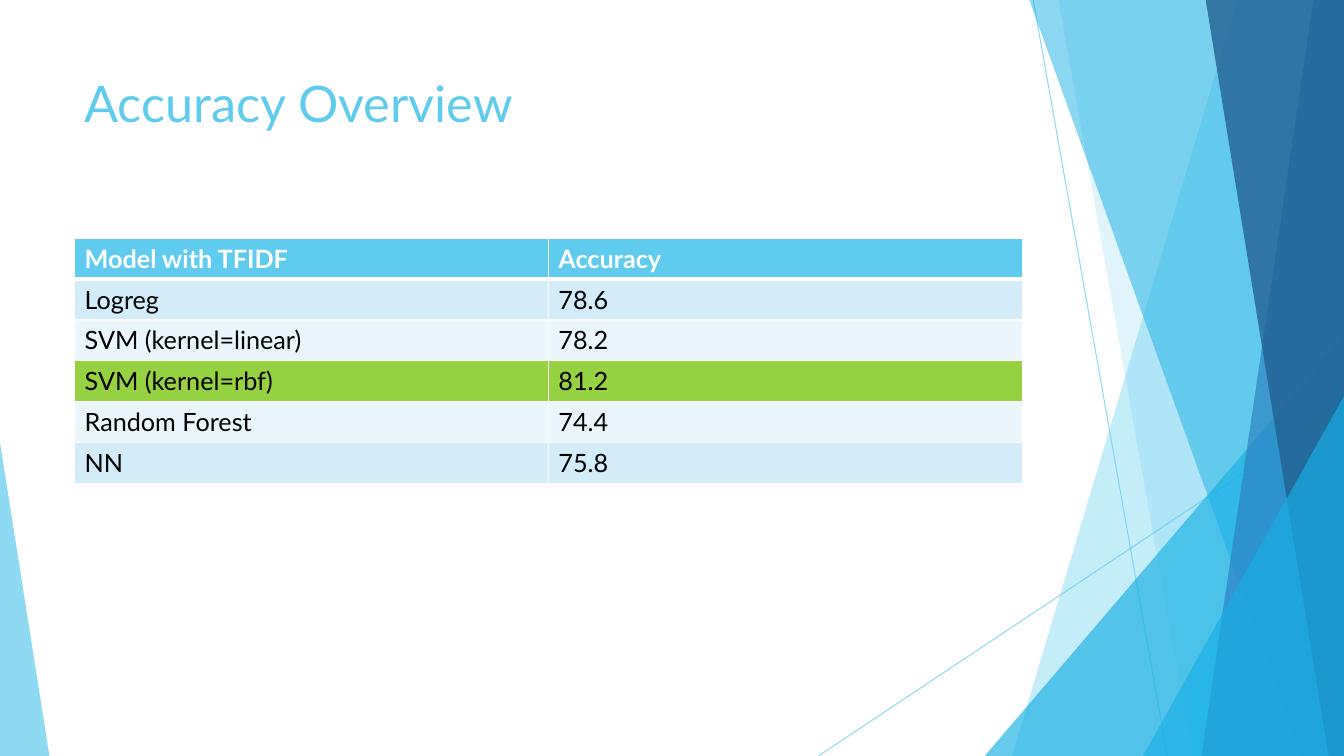
from lxml import etree
from pptx import Presentation
from pptx.dml.color import RGBColor
from pptx.enum import shapes, text
from pptx.oxml.ns import qn
from pptx.util import Pt


def paint(fill, color, host=None, alpha=100):
    fill.solid()
    fill.fore_color.rgb = RGBColor.from_string(color)
    if host is not None:
        tint = host.element.spPr.find(".//" + qn("a:srgbClr"))
        etree.SubElement(tint, qn("a:alpha"), val=str(alpha * 1000))


def write(frame, words, size=18, color="000000", bold=False):
    frame.word_wrap = True
    run = frame.paragraphs[0].add_run()
    run.text = words
    run.font.name = "Lato"
    run.font.size = Pt(size)
    run.font.bold = bold
    paint(run.font.fill, color)


WIDE, HIGH = 960, 540
SKY, BLUE, WHITE = "5FCBEF", "17B0E4", "FFFFFF"

deck = Presentation()
deck.slide_width, deck.slide_height = Pt(WIDE), Pt(HIGH)
slide = deck.slides.add_slide(deck.slide_layouts[6])
pool = slide.shapes

for ends in [(738, 0, 833.8, HIGH), (WIDE, 290.2, 584.6, HIGH)]:
    line = pool.add_connector(shapes.MSO_CONNECTOR.STRAIGHT, *map(Pt, ends))
    line.line.width = Pt(0.75)
    paint(line.line.fill, SKY, line, 70)
    etree.SubElement(line.element.spPr, qn("a:effectLst"))

facets = [
    ("band", 884.2, 722.9, SKY, 36),
    ("band", 756, 851.8, SKY, 20),
    ("peak", (703.4, 239.8, 256.6, 300.2), 1, BLUE, 66),
    ("band", 735.1, 929.5, BLUE, 50),
    ("band", 938.2, 858.2, "2E83C3", 70),
    ("band", 861.1, 949, "226292", 80),
    ("peak", (816.5, 283, 143.5, 257), 1, BLUE, 66),
    ("peak", (0, 316.1, 35.3, 223.9), 0, SKY, 70),
]
for kind, first, second, color, alpha in facets:
    if kind == "band":
        form = pool.build_freeform(Pt(first), Pt(-0.6))
        form.add_line_segments([
            (Pt(WIDE), Pt(-0.6)), (Pt(WIDE), Pt(HIGH)), (Pt(second), Pt(HIGH))])
        facet = form.convert_to_shape()
    else:
        facet = pool.add_shape(
            shapes.MSO_SHAPE.ISOSCELES_TRIANGLE, *map(Pt, first))
        facet.adjustments[0] = second
    facet.shadow.inherit = False
    facet.line.fill.background()
    paint(facet.fill, color, facet, alpha)

title = pool.add_textbox(Pt(53.3), Pt(48), Pt(676.8), Pt(104)).text_frame
title.vertical_anchor = text.MSO_ANCHOR.TOP
write(title, "Accuracy Overview", size=36, color=SKY)

rows = [
    ("Model with TFIDF", "Accuracy", SKY),
    ("Logreg", "78.6", "D2ECF9"),
    ("SVM (kernel=linear)", "78.2", "EAF6FC"),
    ("SVM (kernel=rbf)", "81.2", "96D141"),
    ("Random Forest", "74.4", "EAF6FC"),
    ("NN", "75.8", "D2ECF9"),
]
table = pool.add_table(
    len(rows), 2, Pt(53.3), Pt(170.2), Pt(676.8), Pt(29.2 * len(rows))).table
for r, (model, score, color) in enumerate(rows):
    table.rows[r].height = Pt(29.2)
    for c, words in enumerate((model, score)):
        cell = table.cell(r, c)
        props = cell._tc.get_or_add_tcPr()
        for side in "LRTB":
            thick = (r, side) in [(0, "B"), (1, "T")]
            edge = etree.SubElement(
                props, qn("a:ln" + side), w=str(Pt(3 if thick else 1)))
            solid = etree.SubElement(edge, qn("a:solidFill"))
            etree.SubElement(solid, qn("a:srgbClr"), val=WHITE)
        paint(cell.fill, color)
        head = r == 0
        write(cell.text_frame, words, color=WHITE if head else "000000", bold=head)

deck.save("out.pptx")
